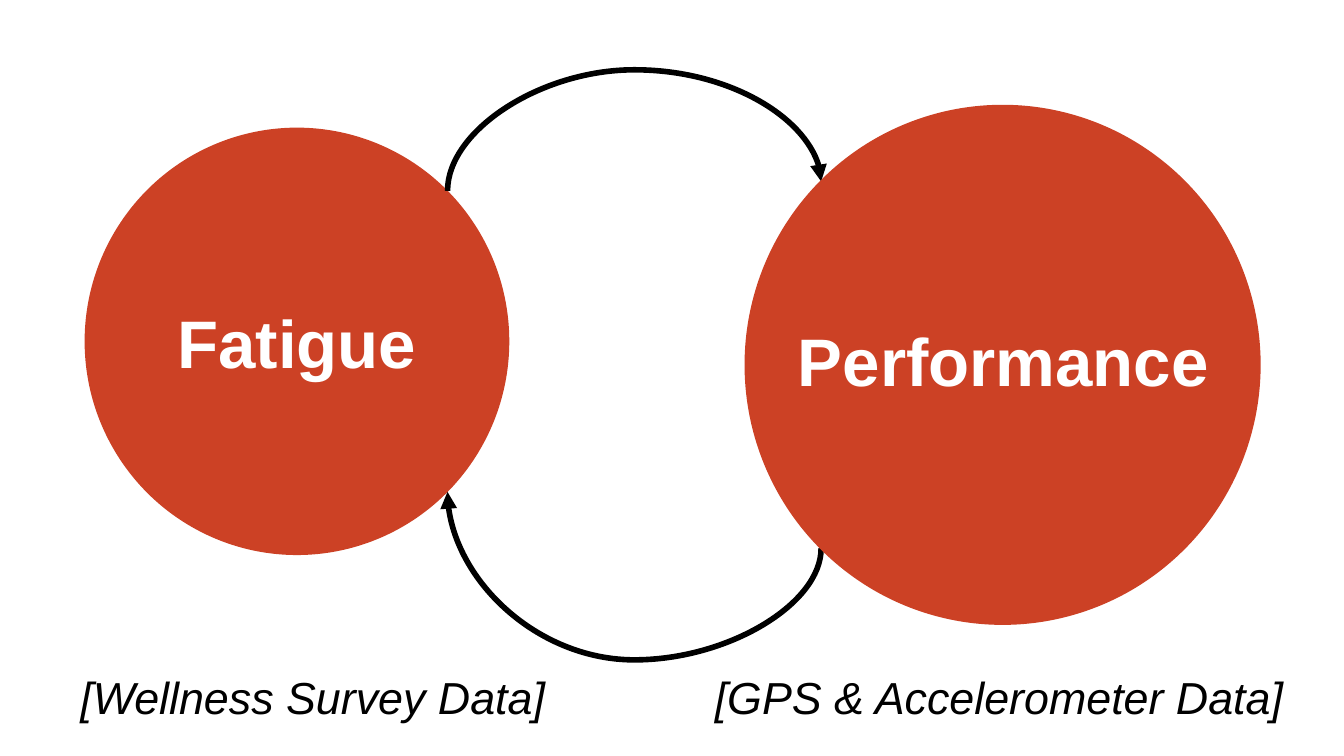
from typing import NamedTuple

from lxml.etree import SubElement
from pptx import Presentation
from pptx.dml.color import RGBColor
from pptx.enum.shapes import MSO_CONNECTOR, MSO_SHAPE
from pptx.enum.text import MSO_ANCHOR, PP_ALIGN
from pptx.oxml.ns import qn
from pptx.util import Inches, Length, Pt

SLIDE_WIDTH = Inches(10)
SLIDE_HEIGHT = Length(SLIDE_WIDTH * 9 // 16)
COLUMNS = 100  # square cells across the slide; rows use the same size
CELL = SLIDE_WIDTH / COLUMNS
RED, WHITE, BLACK = "CC4125", "FFFFFF", "000000"


class Area(NamedTuple):
    column: float
    row: float
    columns: float
    rows: float


class Caption(NamedTuple):
    words: str
    area: Area


class Arc(NamedTuple):
    start: tuple[float, float]
    end: tuple[float, float]
    peak: float


FATIGUE = Area(6.3, 9.5, 31.6, 31.8)
PERFORMANCE = Area(55.4, 7.8, 38.4, 38.7)
PERFORMANCE_TITLE = Area(56.4, 22.8, 36.5, 7)
CAPTIONS = [
    Caption("[Wellness Survey Data]", Area(5, 48.8, 38.4, 4.6)),
    Caption("[GPS & Accelerometer Data]", Area(52.2, 48.8, 46.8, 5.6)),
]
ARCS = [
    Arc((33.3, 14.2), (61.1, 13.5), 5.2),
    Arc((61.1, 40.8), (33.3, 36.6), 49.1),
]


def cells(count: float) -> Length:
    return Length(round(count * CELL))


def rgb(color: str) -> RGBColor:
    return RGBColor.from_string(color)


def write(box, words: str, title: bool) -> None:
    """Titles are large, bold and centred; captions are italic."""
    frame = box.text_frame
    frame.word_wrap = True
    frame.margin_left = frame.margin_right = cells(1)
    frame.margin_top = frame.margin_bottom = cells(1)
    frame.text = words
    para = frame.paragraphs[0]
    para.alignment = PP_ALIGN.CENTER if title else PP_ALIGN.LEFT
    font = para.runs[0].font
    font.name, font.size = "Arial", Pt(36 if title else 24)
    font.bold, font.italic = title, not title
    font.color.rgb = rgb(WHITE if title else BLACK)


def draw_circle(shapes, area: Area):
    circle = shapes.add_shape(MSO_SHAPE.OVAL, *map(cells, area))
    circle.shadow.inherit = False
    circle.fill.solid()
    circle.fill.fore_color.rgb = rgb(RED)
    circle.line.fill.background()
    return circle


def draw_text(shapes, words: str, area: Area, title: bool) -> None:
    box = shapes.add_textbox(*map(cells, area))
    box.text_frame.vertical_anchor = MSO_ANCHOR.TOP
    write(box, words, title)


def draw_arc(page, arc: Arc) -> None:
    """Draw a curve upright, then turn it so that it bows up or down."""
    (start_x, start_y), (end_x, end_y) = arc.start, arc.end
    rise, span = start_y - end_y, abs(end_x - start_x)
    left = (start_x + end_x - rise) / 2
    top = (start_y + end_y - span) / 2
    rightward = end_x > start_x
    ends = (left, left + rise) if rightward else (left + rise, left)
    line = page.shapes.add_connector(
        MSO_CONNECTOR.CURVE,
        cells(ends[0]), cells(top), cells(ends[1]), cells(top + span),
    )
    line.line.color.rgb = rgb(BLACK)
    line.line.width = Pt(3)
    properties = line._element.spPr
    turn = 270 if rightward else 90
    properties.find(qn("a:xfrm")).set("rot", str(turn * 60000))
    # The bend reaches past both ends, in shares of the rise
    bend = round((start_y - arc.peak) / rise * 100000)
    guides = properties.find(qn("a:prstGeom")).get_or_add_avLst()
    SubElement(guides, qn("a:gd"), name="adj1", fmla=f"val {bend}")
    SubElement(properties.find(qn("a:ln")), qn("a:tailEnd"), type="triangle")
    SubElement(properties, qn("a:effectLst"))


def main() -> None:
    deck = Presentation()
    deck.slide_width, deck.slide_height = SLIDE_WIDTH, SLIDE_HEIGHT
    page = deck.slides.add_slide(deck.slide_layouts[6])

    # Fatigue circle and the arrows of the cycle
    fatigue = draw_circle(page.shapes, FATIGUE)
    fatigue.text_frame.vertical_anchor = MSO_ANCHOR.MIDDLE
    write(fatigue, "Fatigue", title=True)
    for arc in ARCS:
        draw_arc(page, arc)

    # Performance circle, grouped with a title wider than its text area
    group = page.shapes.add_group_shape()
    draw_circle(group.shapes, PERFORMANCE)
    draw_text(group.shapes, "Performance", PERFORMANCE_TITLE, title=True)

    # Data sources
    for caption in CAPTIONS:
        draw_text(page.shapes, caption.words, caption.area, title=False)
    deck.save("out.pptx")


if __name__ == "__main__":
    main()
